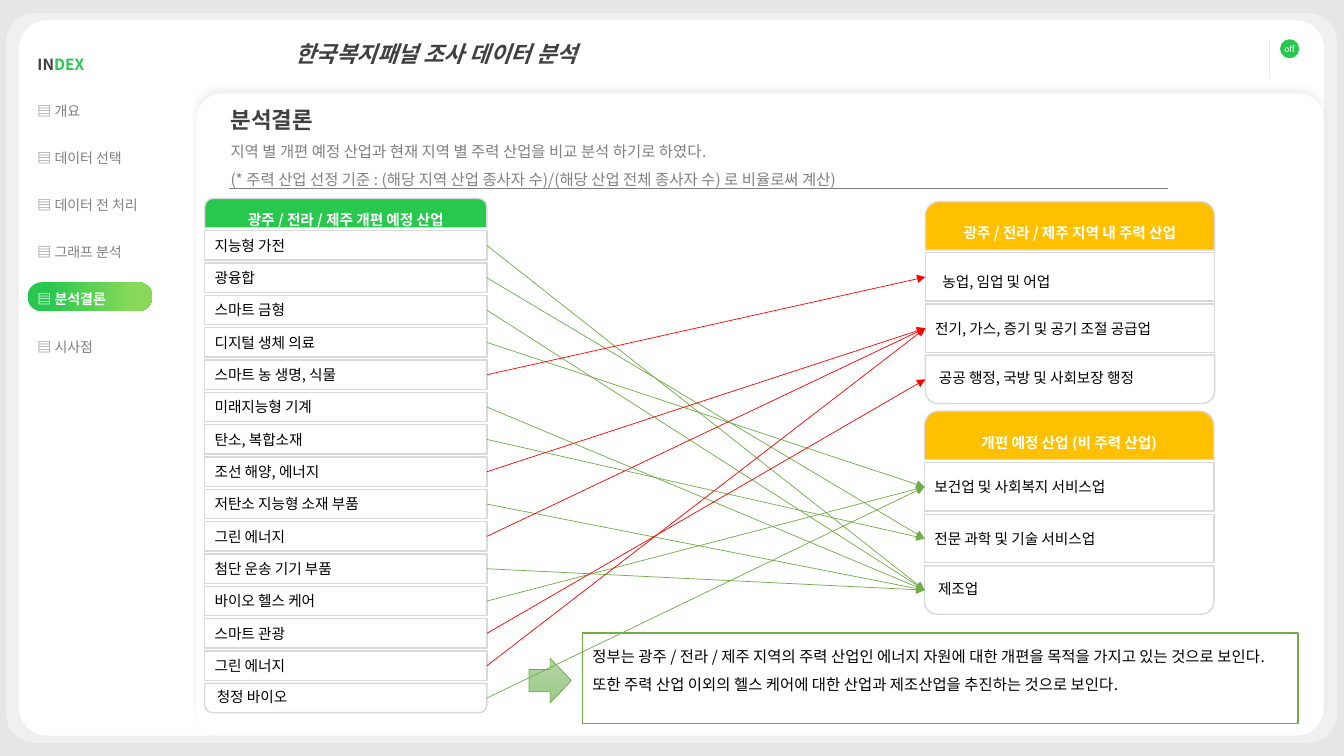
from lxml.etree import SubElement as Sub
from pptx import Presentation
from pptx.dml.color import RGBColor as Rgb
from pptx.enum.shapes import MSO_CONNECTOR as Link, MSO_SHAPE as Kind
from pptx.enum.text import MSO_ANCHOR as Anchor, PP_ALIGN as Align
from pptx.oxml.ns import qn
from pptx.util import Cm, Pt

HUES = {
    "back": "E7E6E6", "white": "FFFFFF", "black": "000000", "dark": "404040",
    "grey": "808080", "phone": "595959", "edge": "D9D9D9", "green": "28C84E",
    "lime": "88D959", "gold": "FFC000", "leaf": "70AD47", "red": "FF0000",
    "pale": "B5D5A7", "moss": "9CC987",
}
FONT = "Noto Sans CJK KR"
RIGHT, LEFT = (3, "0"), (1, "2")

MENU = ["개요", "데이터 선택", "데이터 전 처리", "그래프 분석", "분석결론", "시사점"]
PLANS = [
    ("지능형 가전", 5), ("광융합", 4), ("스마트 금형", 5), ("디지털 생체 의료", 3),
    ("스마트 농 생명, 식물", 0), ("미래지능형 기계", 5), ("탄소, 복합소재", 4),
    ("조선 해양, 에너지", 1), ("저탄소 지능형 소재 부품", 5), ("그린 에너지", 1),
    ("첨단 운송 기기 부품", 5), ("바이오 헬스 케어", 3), ("스마트 관광", 2),
    ("그린 에너지", 1), ("청정 바이오", 3),
]
MAIN = ["농업, 임업 및 어업", "전기, 가스, 증기 및 공기 조절 공급업", "공공 행정, 국방 및 사회보장 행정"]
OTHER = ["보건업 및 사회복지 서비스업", "전문 과학 및 기술 서비스업", "제조업"]


def rgb(hue):
    return Rgb.from_string(HUES[hue])


class Board:
    def __init__(self, slide):
        self.slide = slide
        self.items = slide.shapes
        slide.background.fill.solid()
        slide.background.fill.fore_color.rgb = rgb("back")

    def ink(self, run, size, hue, bold=False, slant=False):
        font = run.font
        font.size, font.bold, font.italic = Pt(size), bold, slant
        font.name = FONT
        font.color.rgb = rgb(hue)
        if font._element.find(qn("a:ea")) is None:
            Sub(font._element, qn("a:ea")).set("typeface", FONT)

    def label(self, frame, text, size, hue, bold=False, slant=False, align=Align.LEFT, space=None):
        frame.text = text
        for para in frame.paragraphs:
            para.alignment = align
            para.line_spacing = space
            for run in para.runs:
                self.ink(run, size, hue, bold, slant)

    def shape(self, kind, x, y, w, h, fill, line=None, width=1, bends=()):
        item = self.items.add_shape(kind, Cm(x), Cm(y), Cm(w), Cm(h))
        for i, bend in enumerate(bends):
            item.adjustments[i] = bend
        self.paint(item, fill, line, width)
        return item

    def paint(self, item, fill, line=None, width=1):
        item.shadow.inherit = False
        item.fill.solid()
        item.fill.fore_color.rgb = rgb(fill)
        if line:
            item.line.color.rgb = rgb(line)
            item.line.width = Pt(width)
        else:
            item.line.fill.background()

    def blend(self, item, angle, *stops):
        item.fill.gradient()
        item.fill.gradient_angle = angle
        for stop, (spot, hue) in zip(item.fill.gradient_stops, stops):
            stop.position = spot
            stop.color.rgb = rgb(hue)

    def shade(self, item, hue, alpha, **attrs):
        glow = Sub(item._element.spPr.find(qn("a:effectLst")), qn("a:outerShdw"), attrs)
        tint = Sub(glow, qn("a:srgbClr"), val=HUES[hue])
        Sub(tint, qn("a:alpha"), val=str(alpha * 1000))

    def text(self, x, y, w, h, wrap=True):
        frame = self.items.add_textbox(Cm(x), Cm(y), Cm(w), Cm(h)).text_frame
        frame.word_wrap = wrap
        return frame

    def line(self, x, y, end, hue, width):
        item = self.items.add_connector(Link.STRAIGHT, Cm(x), Cm(y), Cm(end), Cm(y))
        item.line.color.rgb = rgb(hue)
        item.line.width = Pt(width)
        Sub(item._element.spPr, qn("a:effectLst"))
        return item

    def arrow(self, start, goal, hue):
        item = self.line(0, 0, 1, hue, 0.5)
        Sub(item._element.spPr.find(qn("a:ln")), qn("a:tailEnd"), type="triangle")
        item.begin_connect(start, RIGHT[0])
        item.end_connect(goal, LEFT[0])
        ends = item._element.nvCxnSpPr.cNvCxnSpPr
        ends.find(qn("a:stCxn")).set("idx", RIGHT[1])
        ends.find(qn("a:endCxn")).set("idx", LEFT[1])

    def stack(self, x, y, w, h, step, head, fill, names):
        boxes = []
        for i, name in enumerate([head] + names):
            bends = (0.29 if i == 0 else 0, 0.26 if i == len(names) else 0)
            box = self.shape(Kind.ROUND_2_SAME_RECTANGLE, x, y + i * step, w, h,
                             "white" if i else fill, "edge", 1, bends)
            frame = box.text_frame
            frame.vertical_anchor = Anchor.MIDDLE
            if i:
                self.label(frame, name, 10.5, "black")
            else:
                self.label(frame, name, 10.5, "white", True, align=Align.CENTER)
                self.lower(frame)
            boxes.append(box)
        return boxes[1:]

    def lower(self, frame):
        frame.margin_top, frame.margin_bottom = Cm(0.25), 0

    def phone(self):
        body = [(32.12, 1.24), (32.37, 1.24), (32.41, 1.28), (32.41, 1.74),
                (32.37, 1.78), (32.12, 1.78), (32.08, 1.74), (32.08, 1.28)]
        holes = [(32.11, 1.3, 32.38, 1.7), (32.23, 1.73, 32.27, 1.76), (32.2, 1.26, 32.29, 1.28)]
        pen = self.items.build_freeform(*body[0], scale=Cm(1))
        pen.add_line_segments(body[1:])
        for a, b, c, d in holes:
            pen.move_to(a, b)
            pen.add_line_segments([(a, d), (c, d), (c, b)])
        self.paint(pen.convert_to_shape(), "phone")

    def index(self, x, y, w, step, names, live):
        grid = self.items.add_table(9, 1, Cm(x), Cm(y), Cm(w), Cm(step * 9)).table
        grid.first_row = grid.horz_banding = False
        for row in grid.rows:
            row.height = Cm(step)
            row.cells[0].fill.background()
            row.cells[0].vertical_anchor = Anchor.MIDDLE
        top = grid.cell(0, 0).text_frame
        self.label(top, "IN", 11, "dark", True, space=1.5)
        tail = top.paragraphs[0].add_run()
        tail.text = "DEX"
        self.ink(tail, 11, "green", True)
        for i, name in enumerate(names, 1):
            on = name == live
            self.label(grid.cell(i, 0).text_frame, "▤ " + name, 10,
                       "white" if on else "grey", on, space=1.5)


def main():
    deck = Presentation()
    deck.slide_width, deck.slide_height = Cm(33.87), Cm(19.05)
    board = Board(deck.slides.add_slide(deck.slide_layouts[6]))

    plate = board.shape(Kind.ROUNDED_RECTANGLE, 0.48, 0.51, 32.89, 18.03, "white", bends=[0.04])
    board.shade(plate, "white", 40, sx="102000", sy="102000", algn="ctr")
    pill = board.shape(Kind.ROUNDED_RECTANGLE, 0.69, 7.11, 3.15, 0.74, "green", bends=[0.5])
    board.blend(pill, 0, (0.16, "green"), (0.84, "lime"))
    board.label(board.text(6.73, 0.89, 8.53, 0.94, False), "한국복지패널 조사 데이터 분석",
                16, "dark", True, True, Align.CENTER)

    board.phone()
    badge = board.shape(Kind.OVAL, 32.26, 0.99, 0.48, 0.48, "green").text_frame
    badge.margin_left = badge.margin_right = badge.margin_top = badge.margin_bottom = Cm(0.1)
    badge.word_wrap = False
    badge.vertical_anchor = Anchor.MIDDLE
    board.label(badge, "off", 6, "white", align=Align.CENTER)

    panel = board.shape(Kind.ROUNDED_RECTANGLE, 4.95, 2.36, 28.42, 16.1, "white", bends=[0.04])
    board.shade(panel, "black", 5, blurRad=str(Pt(4)), dist=str(Pt(3)), dir="16200000")
    board.line(5.77, 4.75, 29.44, "grey", 1)
    board.index(0.69, 0.86, 4.06, 1.19, MENU, "분석결론")

    goals = board.stack(23.32, 5.08, 7.29, 1.22, 1.29, "광주 / 전라 / 제주 지역 내 주력 산업", "gold", MAIN)
    farm = goals[0].text_frame
    farm.margin_left = Cm(0.43)
    board.lower(farm)

    note = board.shape(Kind.RECTANGLE, 14.68, 15.95, 18.03, 2.29, "white", "leaf").text_frame
    note.vertical_anchor = Anchor.TOP
    board.label(note, "정부는 광주 / 전라 / 제주 지역의 주력 산업인 에너지 자원에 대한 개편을 목적을 가지고 있는 것으로 보인다.\n"
                "또한 주력 산업 이외의 헬스 케어에 대한 산업과 제조산업을 추진하는 것으로 보인다.",
                11, "black", space=1.5)
    sign = board.shape(Kind.RIGHT_ARROW, 13.33, 16.59, 1.07, 1.12, "pale", "leaf", 0.5)
    board.blend(sign, 270, (0, "pale"), (1, "moss"))

    starts = board.stack(5.16, 5, 7.11, 0.74, 12.22 / 15, "광주 / 전라 / 제주 개편 예정 산업", "green",
                         [name for name, goal in PLANS])
    goals += board.stack(23.3, 10.36, 7.29, 1.22, 1.3, "개편 예정 산업 (비 주력 산업)", "gold", OTHER)

    head = board.text(5.56, 2.21, 23.88, 2.59)
    board.label(head, "분석결론\n지역 별 개편 예정 산업과 현재 지역 별 주력 산업을 비교 분석 하기로 하였다.\n"
                "(* 주력 산업 선정 기준 : (해당 지역 산업 종사자 수)/(해당 산업 전체 종사자 수) 로 비율로써 계산)",
                11, "grey", space=1.5)
    board.ink(head.paragraphs[0].runs[0], 16, "dark", True)

    for start, (name, goal) in zip(starts, PLANS):
        board.arrow(start, goals[goal], "red" if goal < len(MAIN) else "leaf")

    deck.save("out.pptx")


if __name__ == "__main__":
    main()
